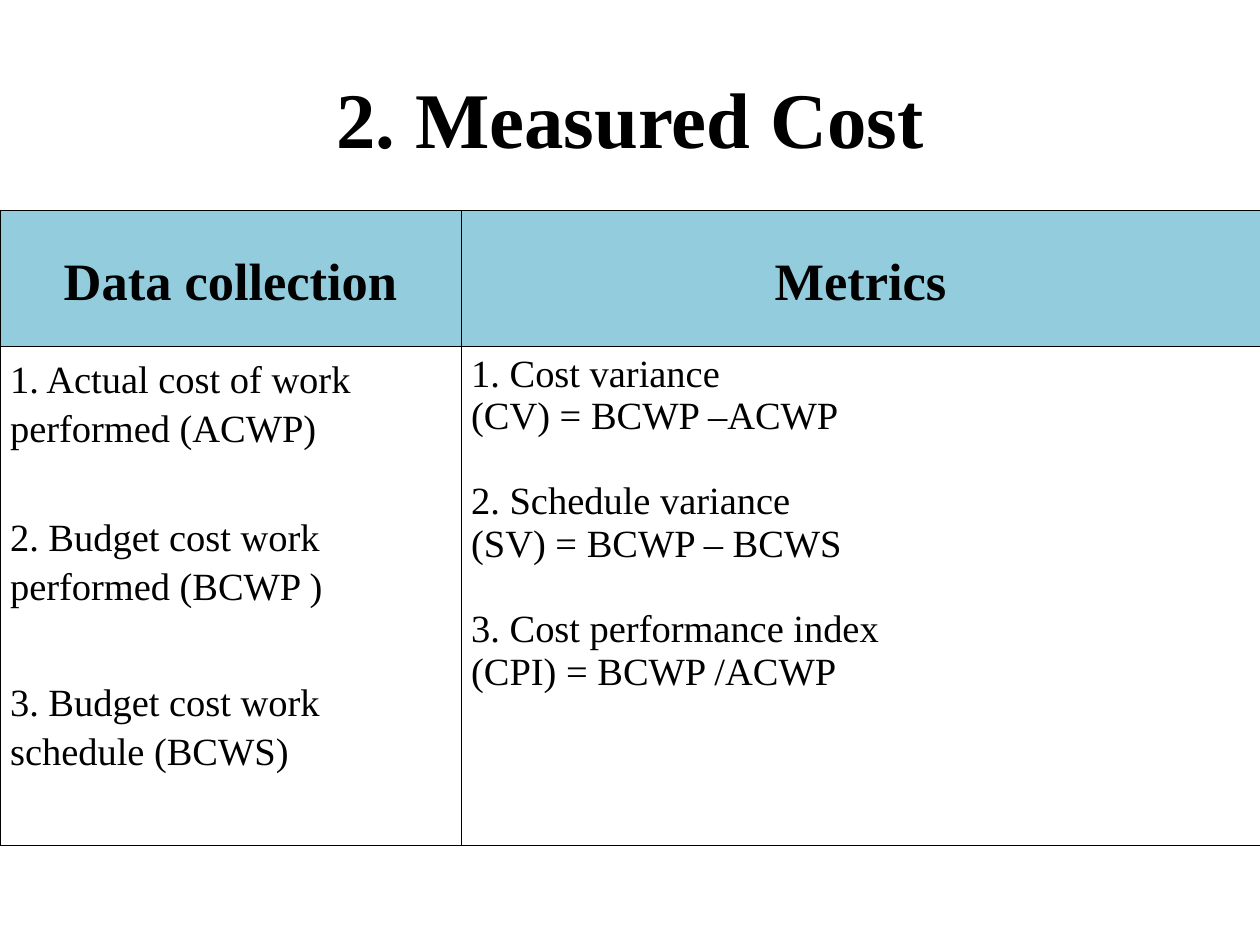
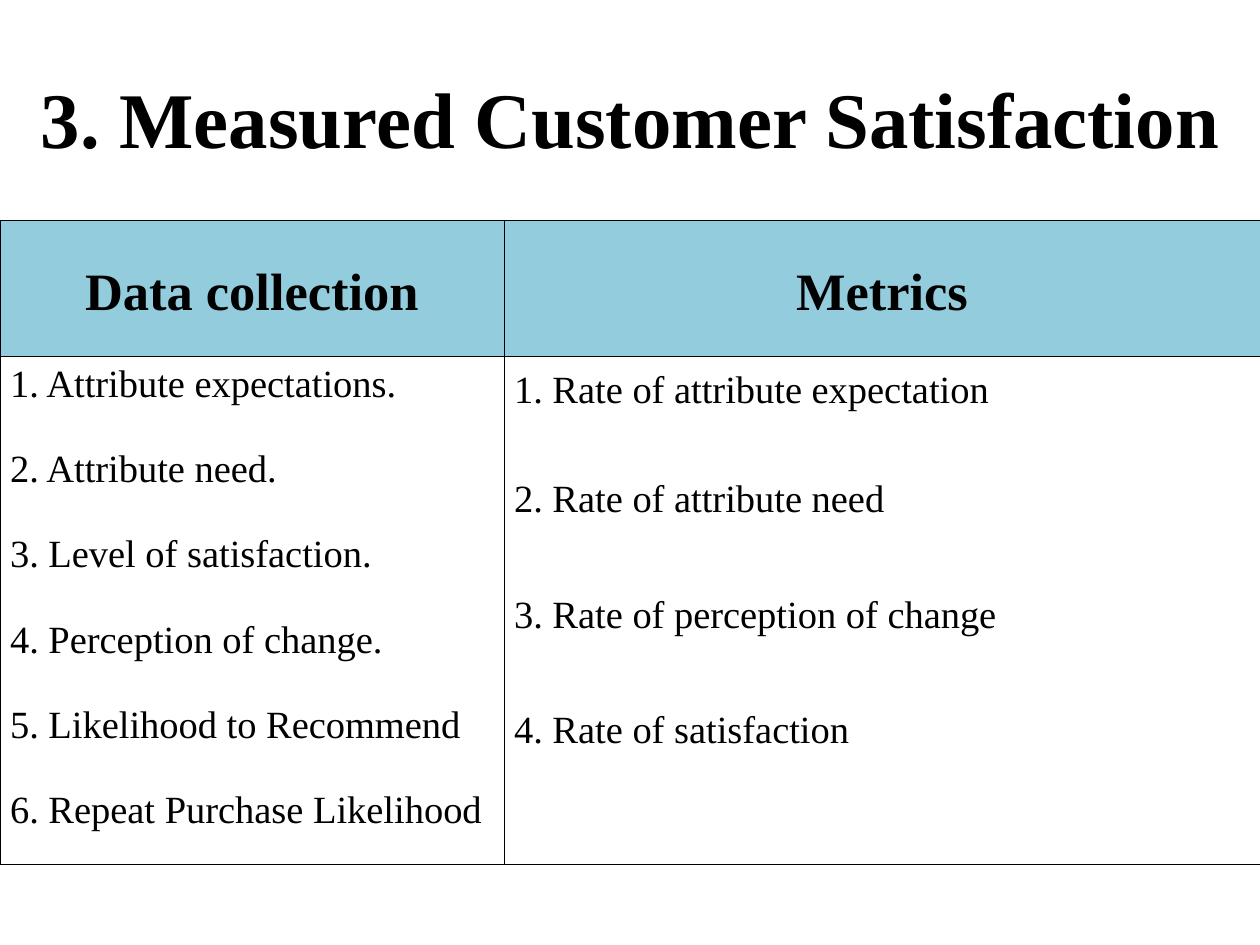
from lxml.etree import SubElement
from pptx import Presentation
from pptx.dml.color import RGBColor
from pptx.enum.text import MSO_ANCHOR, PP_ALIGN
from pptx.oxml.ns import qn
from pptx.util import Inches, Pt

FONT = "Times New Roman"
BLACK, HEADER_BLUE = "000000", "93CDDD"
WIDTH, HEIGHT = 10, 7.5
HEADER_HEIGHT = 1.08
HEADINGS = ["Data collection", "Metrics"]
TIGHT = {"line": 1.0, "first_gap": 24.4, "gap": 24.4}
LOOSE = {"line": 1.15, "first_gap": 34.5, "gap": 38}

measures = [
    {
        "title": "2. Measured Cost", "title_margin": 0.5,
        "top": 1.67, "split": 3.66, "body_height": 3.96,
        "columns": [
            (LOOSE, ["1. Actual cost of work performed (ACWP)",
                     "2. Budget cost work performed (BCWP )",
                     "3. Budget cost work schedule (BCWS)"]),
            (TIGHT, ["1. Cost variance \v(CV) = BCWP –ACWP",
                     "2. Schedule variance \v(SV) = BCWP – BCWS",
                     "3. Cost performance index \v(CPI) = BCWP /ACWP"]),
        ],
    },
    {
        "title": "3. Measured Customer Satisfaction", "title_margin": 0,
        "top": 1.75, "split": 4, "body_height": 4.03,
        "columns": [
            (TIGHT, ["1. Attribute expectations.",
                     "2. Attribute need.",
                     "3. Level of satisfaction.",
                     "4. Perception of change.",
                     "5. Likelihood to Recommend",
                     "6. Repeat Purchase Likelihood"]),
            (LOOSE, ["1. Rate of attribute expectation",
                     "2. Rate of attribute need",
                     "3. Rate of perception of change",
                     "4. Rate of satisfaction"]),
        ],
    },
]


def write(paragraph, text, size, bold=False, align=PP_ALIGN.LEFT):
    paragraph.text = text
    paragraph.alignment = align
    for name, value in {"name": FONT, "size": Pt(size), "bold": bold}.items():
        setattr(paragraph.font, name, value)
        for run in paragraph.runs:
            setattr(run.font, name, value)
    for run in paragraph.runs:
        run.font.color.rgb = RGBColor.from_string(BLACK)


def frame_cell(cell, fill=None):
    margins = {"margin_left": 0.08, "margin_right": 0.08,
               "margin_top": 0.05, "margin_bottom": 0.05}
    for name, inches in margins.items():
        setattr(cell, name, Inches(inches))
    properties = cell._tc.get_or_add_tcPr()
    for side in ("lnL", "lnR", "lnT", "lnB"):
        border = SubElement(properties, qn(f"a:{side}"), w=str(Pt(0.45)))
        paint = SubElement(border, qn("a:solidFill"))
        SubElement(paint, qn("a:srgbClr"), val=BLACK)
    if fill:
        cell.fill.solid()
        cell.fill.fore_color.rgb = RGBColor.from_string(fill)
    else:
        cell.fill.background()


deck = Presentation()
deck.slide_width, deck.slide_height = Inches(WIDTH), Inches(HEIGHT)

for measure in measures:
    slide = deck.slides.add_slide(deck.slide_layouts[6])

    margin = measure["title_margin"]
    title = slide.shapes.add_textbox(
        Inches(margin), Inches(HEIGHT * 0.04),
        Inches(WIDTH - 2 * margin), Inches(HEIGHT / 6)).text_frame
    title.word_wrap = True
    title.vertical_anchor = MSO_ANCHOR.MIDDLE
    write(title.paragraphs[0], measure["title"], 45, True, PP_ALIGN.CENTER)

    grid = slide.shapes.add_table(
        2, 2, 0, Inches(measure["top"]), Inches(WIDTH),
        Inches(HEADER_HEIGHT + measure["body_height"])).table
    grid.first_row = grid.horz_banding = False
    for row, height in zip(grid.rows, (HEADER_HEIGHT, measure["body_height"])):
        row.height = Inches(height)
    for column, width in zip(grid.columns, (measure["split"], WIDTH - measure["split"])):
        column.width = Inches(width)

    for index, (heading, (spacing, items)) in enumerate(zip(HEADINGS, measure["columns"])):
        header = grid.cell(0, index)
        frame_cell(header, HEADER_BLUE)
        header.vertical_anchor = MSO_ANCHOR.MIDDLE
        label = header.text_frame.paragraphs[0]
        write(label, heading, 30, True, PP_ALIGN.CENTER)
        label.line_spacing = 1.15
        label.space_after = Pt(10)

        body = grid.cell(1, index)
        frame_cell(body)
        for number, item in enumerate(items):
            entry = body.text_frame.add_paragraph() if number else body.text_frame.paragraphs[0]
            write(entry, item, 22)
            entry.line_spacing = spacing["line"]
            if number:
                entry.space_before = Pt(spacing["first_gap" if number == 1 else "gap"])

deck.save("out.pptx")
